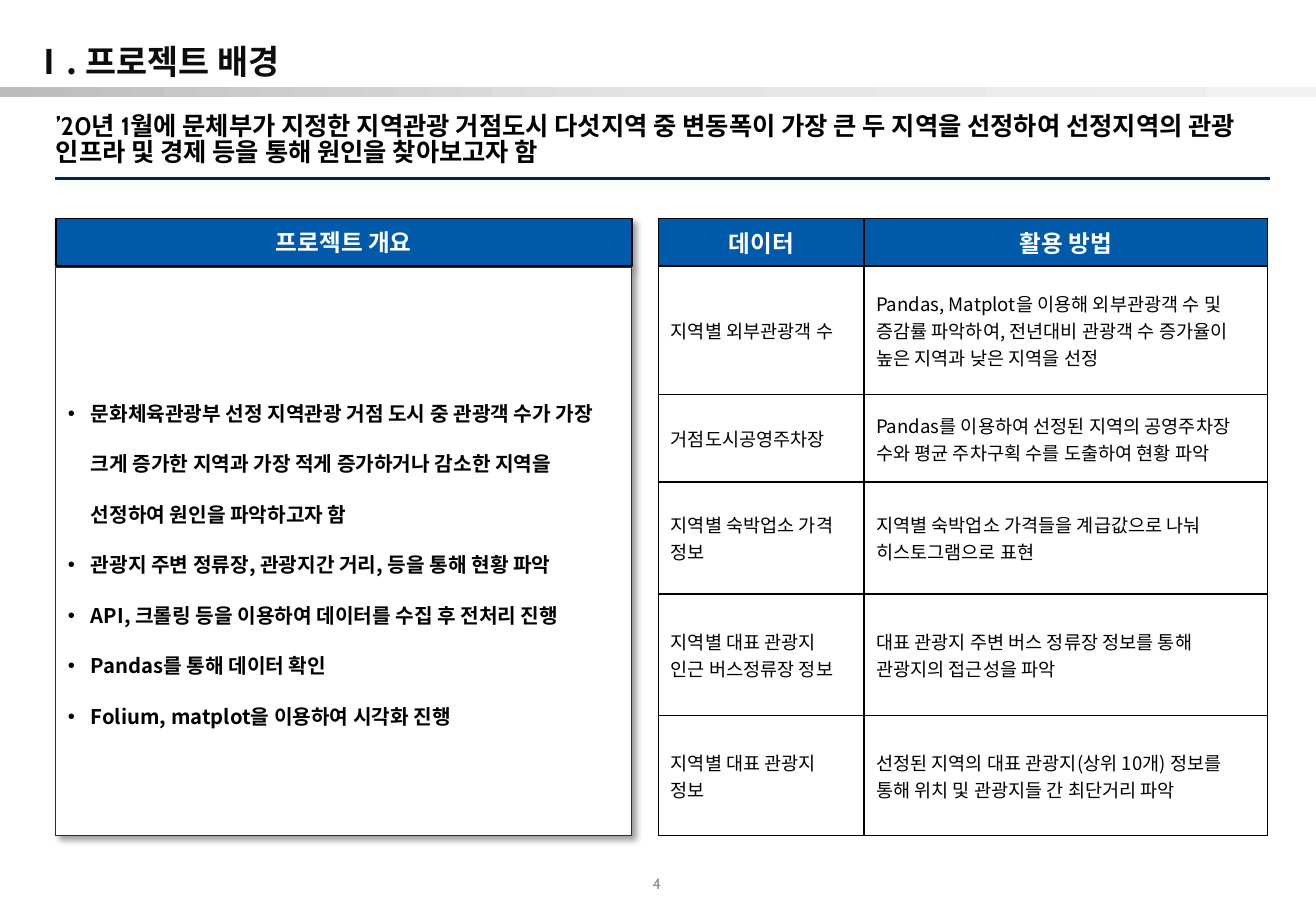
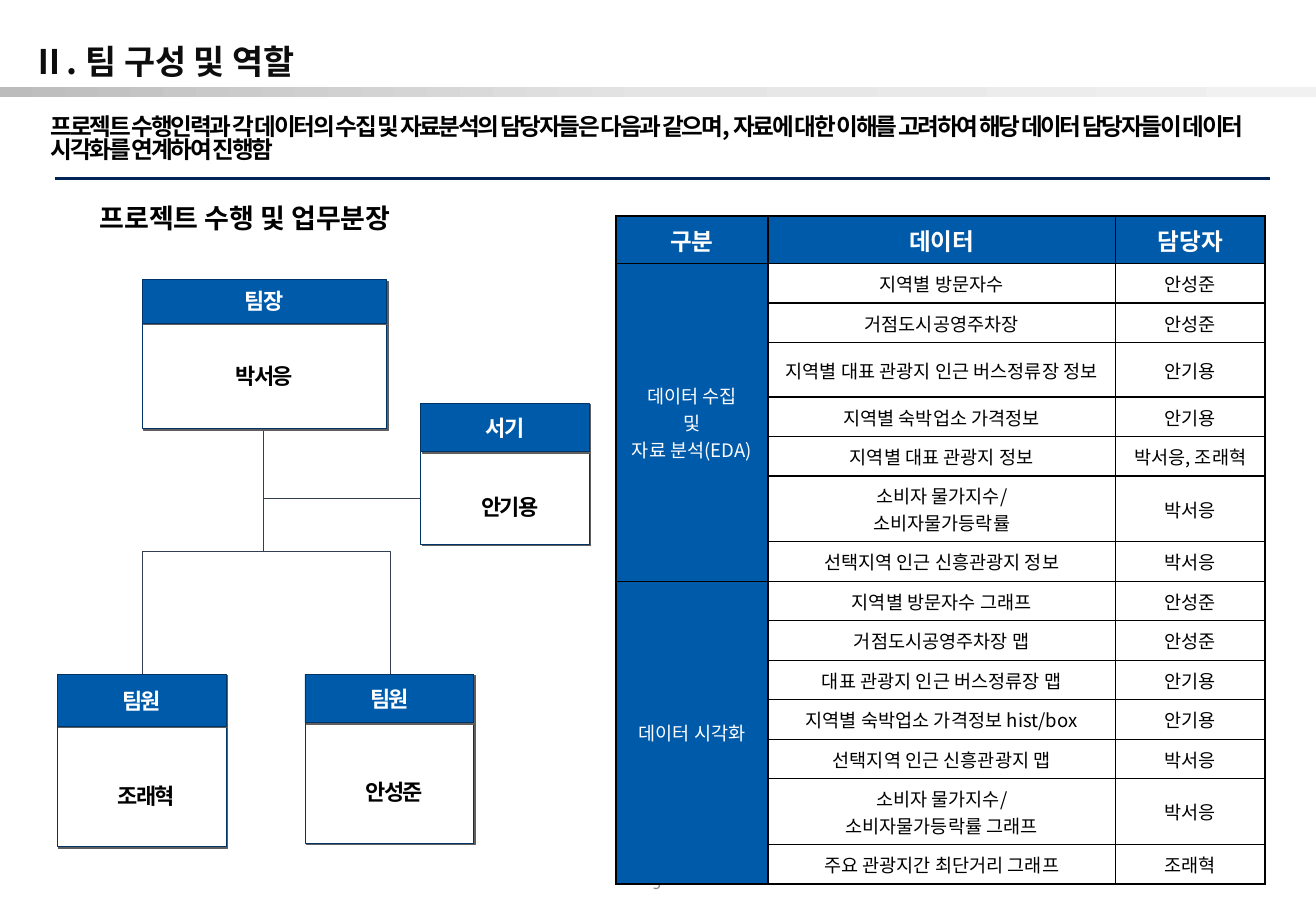
from copy import deepcopy

from lxml.etree import SubElement
from pptx import Presentation
from pptx.dml.color import RGBColor
from pptx.enum.shapes import MSO_CONNECTOR as LINK, MSO_SHAPE as SHAPE
from pptx.enum.text import MSO_ANCHOR as ANCHOR, MSO_AUTO_SIZE as FIT, PP_ALIGN as ALIGN
from pptx.oxml.ns import qn
from pptx.util import Inches, Pt

# Shared style
rgb = RGBColor.from_string
NOTO, CABIN = "Noto Sans CJK KR", "Cabin"
BLUE, NAVY, EDGE, SLATE = "005AAA", "002458", "003366", "333F50"
BLACK, WHITE, INK, GREY = "000000", "FFFFFF", "0D0D0D", "8C8C8C"
SOFT = (BLACK, 40, 4, 3)
HARD = ("5F5F5F", 100, 0, 1.4)


def write(frame, text, size, color, bold=True, align=ALIGN.LEFT, font=NOTO, gap=1.0, track=0):
    frame.text = text
    frame.word_wrap = True
    for para in frame.paragraphs:
        para.alignment = align
        para.line_spacing = gap
        for run in para.runs:
            run.font.size = Pt(size)
            run.font.bold = bold
            run.font.color.rgb = rgb(color)
            run.font.name = font
            props = run._r.get_or_add_rPr()
            SubElement(props, qn("a:ea")).set("typeface", NOTO)
            if track:
                props.set("spc", str(int(track * 100)))


def block(slide, at, inset, fill=None, edge=None, width=1, shade=None):
    at = [Inches(n) for n in at]
    if fill is None:
        shape = slide.shapes.add_textbox(*at)
    else:
        shape = slide.shapes.add_shape(SHAPE.RECTANGLE, *at)
        shape.fill.solid()
        shape.fill.fore_color.rgb = rgb(fill)
        shape.line.color.rgb = rgb(edge)
        shape.line.width = Pt(width)
        shape.shadow.inherit = False
        tint, alpha, blur, dist = shade
        effect = shape._element.spPr.find(qn("a:effectLst"))
        cast = SubElement(effect, qn("a:outerShdw"), blurRad=str(Pt(blur)),
                          dist=str(Pt(dist)), dir="2700000", algn="tl", rotWithShape="0")
        tone = SubElement(cast, qn("a:srgbClr"), val=tint)
        SubElement(tone, qn("a:alpha"), val=str(alpha * 1000))
    frame = shape.text_frame
    frame.vertical_anchor = ANCHOR.MIDDLE
    (frame.margin_left, frame.margin_top,
     frame.margin_right, frame.margin_bottom) = [Inches(n) for n in inset]
    return frame


prs = Presentation()
prs.slide_width, prs.slide_height = Inches(10.83), Inches(7.5)

# Title, band, lead text, rule and page number of each slide
heads = [
    ("Ⅰ. 프로젝트 배경",
     "’20년 1월에 문체부가 지정한 지역관광 거점도시 다섯지역 중 변동폭이 가장 큰 두 지역을 "
     "선정하여 선정지역의 관광 인프라 및 경제 등을 통해 원인을 찾아보고자 함",
     (0.46, 0.9, 9.96, 0.52), 15, CABIN, 0.85, 0),
    ("Ⅱ. 팀 구성 및 역할",
     "프로젝트 수행인력과 각 데이터의 수집 및 자료분석의 담당자들은 다음과 같으며, 자료에 대한 "
     "이해를 고려하여 해당 데이터 담당자들이 데이터 시각화를 연계하여 진행함",
     (0.42, 0.91, 10, 0.48), 14, NOTO, 0.82, -1.4),
]
slides, links = [], []
for page, (name, lead, at, size, font, gap, track) in enumerate(heads, 4):
    slide = prs.slides.add_slide(prs.slide_layouts[5])
    slides.append(slide)

    band = slide.shapes.add_shape(SHAPE.RECTANGLE, Inches(-0.01), Inches(0.72),
                                  Inches(10.84), Inches(0.08))
    band.shadow.inherit = False
    band.line.fill.background()
    band.fill.gradient()
    band.fill.gradient_angle = 0
    stops = band._element.spPr.find(".//" + qn("a:gsLst"))
    stops.insert(1, deepcopy(stops[0]))
    for stop, place, tint in zip(band.fill.gradient_stops, (0, 0.5, 1),
                                 ("BCBCBC", "E4E4E4", "F1F1F1")):
        stop.position = place
        stop.color.rgb = rgb(tint)

    rule = slide.shapes.add_connector(LINK.STRAIGHT, Inches(0.45), Inches(1.47),
                                      Inches(10.45), Inches(1.47))
    links.append((rule, NAVY, 1.75))

    title = slide.shapes.title
    title.left, title.top = Inches(-0.01), Inches(0.16)
    title.width, title.height = Inches(10.83), Inches(0.52)
    frame = title.text_frame
    frame.auto_size = FIT.NONE
    frame.vertical_anchor = ANCHOR.MIDDLE
    frame.margin_left = Inches(0.28)
    frame.margin_top = frame.margin_right = frame.margin_bottom = 0
    write(frame, name, 20, INK, gap=1.5)
    frame.paragraphs[0].space_after = Pt(7.3)

    frame = block(slide, at, (0, 0.05, 0, 0.05))
    write(frame, lead, size, BLACK, font=font, gap=gap, track=track)
    frame.paragraphs[0].space_before = Pt(4)

    frame = block(slide, (5.25, 7.2, 0.19, 0.2), (0, 0, 0, 0.05))
    write(frame, str(page), 9, GREY, False, ALIGN.RIGHT, CABIN)

plan, team = slides

# Project outline panel
frame = block(plan, (0.46, 1.8, 4.74, 0.39), (0, 0.05, 0, 0.05), BLUE, BLACK, 1, SOFT)
write(frame, "프로젝트 개요", 14, WHITE, align=ALIGN.CENTER, font=CABIN)
points = [
    "문화체육관광부 선정 지역관광 거점 도시 중 관광객 수가 가장 크게 증가한 지역과 "
    "가장 적게 증가하거나 감소한 지역을 선정하여 원인을 파악하고자 함",
    "관광지 주변 정류장, 관광지간 거리, 등을 통해 현황 파악",
    "API, 크롤링 등을 이용하여 데이터를 수집 후 전처리 진행",
    "Pandas를 통해 데이터 확인",
    "Folium, matplot을 이용하여 시각화 진행",
]
frame = block(plan, (0.46, 2.2, 4.74, 4.68), (0.1, 0.05, 0.1, 0.05), WHITE, "262F3B", 0.75, SOFT)
write(frame, "\n".join(points), 12, BLACK, gap=2.08)
for para in frame.paragraphs:
    props = para._p.get_or_add_pPr()
    props.set("marL", str(Inches(0.19)))
    props.set("indent", str(-Inches(0.19)))
    SubElement(props, qn("a:buFont"), typeface="Arial")
    SubElement(props, qn("a:buChar"), char="•")

# Team chart: heading and lines
frame = block(team, (0.82, 1.66, 9.21, 0.27), (0, 0, 0, 0))
write(frame, "프로젝트 수행 및 업무분장", 16, BLACK)

stem, top, foot = 2.17, 3.53, 5.55
for end, side, turn in ((1.17, 1, 90), (3.21, -1, 270)):
    mid, half = (end + stem) / 2, abs(end - stem) / 2
    level, reach = (top + foot) / 2, side * (foot - top) / 2
    link = team.shapes.add_connector(LINK.ELBOW, Inches(mid + reach), Inches(level + half),
                                     Inches(mid - reach), Inches(level - half))
    link._element.spPr.xfrm.set("rot", str(turn * 60000))
    links.append((link, SLATE, 0.5))
link = team.shapes.add_connector(LINK.STRAIGHT, Inches(3.46), Inches(4.1),
                                 Inches(stem), Inches(4.1))
links.append((link, SLATE, 0.5))

for link, tint, width in links:
    link.line.color.rgb = rgb(tint)
    link.line.width = Pt(width)
    SubElement(link._element.spPr, qn("a:effectLst"))

# Team chart: role above name
even, low = (0.08, 0.05, 0.08, 0.05), (0.16, 0.04, 0.08, 0)
cards = [
    ("팀장", "박서응", 1.17, 2.3, 2.01, 0.36, 0.87, even, 1),
    ("팀원", "조래혁", 0.47, 5.55, 1.39, 0.43, 0.99, low, 1.5),
    ("서기", "안기용", 3.46, 3.32, 1.39, 0.4, 0.76, low, 1.5),
    ("팀원", "안성준", 2.51, 5.55, 1.39, 0.4, 0.99, low, 1.5),
]
for role, name, x, y, wide, cap, tall, inset, gap in cards:
    frame = block(team, (x, y + cap, wide, tall), inset, WHITE, EDGE, 0.5, HARD)
    write(frame, name, 13, BLACK, align=ALIGN.CENTER, gap=gap, track=-0.9)
    frame = block(team, (x, y, wide, cap), even, BLUE, EDGE, 0.5, HARD)
    write(frame, role, 13, WHITE, align=ALIGN.CENTER, track=-0.9)

# Table contents; an empty first cell belongs to the group above it
uses = [
    ("데이터", "활용 방법"),
    ("지역별 외부관광객 수",
     "Pandas, Matplot을 이용해 외부관광객 수 및 증감률 파악하여, "
     "전년대비 관광객 수 증가율이 높은 지역과 낮은 지역을 선정"),
    ("거점도시공영주차장",
     "Pandas를 이용하여 선정된 지역의 공영주차장 수와 평균 주차구획 수를 도출하여 현황 파악"),
    ("지역별 숙박업소 가격 정보", "지역별 숙박업소 가격들을 계급값으로 나눠 히스토그램으로 표현"),
    ("지역별 대표 관광지 인근 버스정류장 정보",
     "대표 관광지 주변 버스 정류장 정보를 통해 관광지의 접근성을 파악"),
    ("지역별 대표 관광지 정보",
     "선정된 지역의 대표 관광지(상위 10개) 정보를 통해 위치 및 관광지들 간 최단거리 파악"),
]
tasks = [
    ("구분", "데이터", "담당자"),
    ("데이터 수집\n및\n자료 분석(EDA)", "지역별 방문자수", "안성준"),
    ("", "거점도시공영주차장", "안성준"),
    ("", "지역별 대표 관광지 인근 버스정류장 정보", "안기용"),
    ("", "지역별 숙박업소 가격정보", "안기용"),
    ("", "지역별 대표 관광지 정보", "박서응, 조래혁"),
    ("", "소비자 물가지수/\n소비자물가등락률", "박서응"),
    ("", "선택지역 인근 신흥관광지 정보", "박서응"),
    ("데이터 시각화", "지역별 방문자수 그래프", "안성준"),
    ("", "거점도시공영주차장 맵", "안성준"),
    ("", "대표 관광지 인근 버스정류장 맵", "안기용"),
    ("", "지역별 숙박업소 가격정보 hist/box", "안기용"),
    ("", "선택지역 인근 신흥관광지 맵", "박서응"),
    ("", "소비자 물가지수/\n소비자물가등락률 그래프", "박서응"),
    ("", "주요 관광지간 최단거리 그래프", "조래혁"),
]
tall = {0: 0.39, 3: 0.45, 6: 0.54, 13: 0.54}
rest = (5.5 - sum(tall.values())) / (len(tasks) - len(tall))
steps = [tall.get(n, rest) for n in range(len(tasks))]

# Tables: slide, place, rows, widths, heights, blue columns, alignment, side margin, merges
grids = [
    (plan, 5.42, 1.8, uses, (1.69, 3.32), (0.39, 1.06, 0.72, 0.92, 1, 0.99),
     0, ALIGN.LEFT, 0.1, ()),
    (team, 5.07, 1.78, tasks, (1.25, 2.86, 1.23), steps,
     1, ALIGN.CENTER, 0.05, ((1, 7), (8, 14))),
]
for slide, x, y, rows, wides, highs, blues, align, side, spans in grids:
    table = slide.shapes.add_table(len(rows), len(wides), Inches(x), Inches(y),
                                   Inches(sum(wides)), Inches(sum(highs))).table
    for col, wide in zip(table.columns, wides):
        col.width = Inches(wide)
    for row, high in zip(table.rows, highs):
        row.height = Inches(high)
    for r, texts in enumerate(rows):
        for c, text in enumerate(texts):
            cell = table.cell(r, c)
            cell.vertical_anchor = ANCHOR.MIDDLE
            cell.margin_left = cell.margin_right = Inches(side)
            props = cell._tc.get_or_add_tcPr()
            for tag in ("a:lnL", "a:lnR", "a:lnT", "a:lnB"):
                line = SubElement(props, qn(tag), w=str(Pt(1)))
                SubElement(SubElement(line, qn("a:solidFill")), qn("a:srgbClr"), val=BLACK)
            dark = r == 0 or c < blues
            cell.fill.solid()
            cell.fill.fore_color.rgb = rgb(BLUE if dark else WHITE)
            write(cell.text_frame, text, 11 if r else 14, WHITE if dark else BLACK,
                  r == 0, align if r else ALIGN.CENTER)
    for first, last in spans:
        table.cell(first, 0).merge(table.cell(last, 0))

prs.save("out.pptx")
